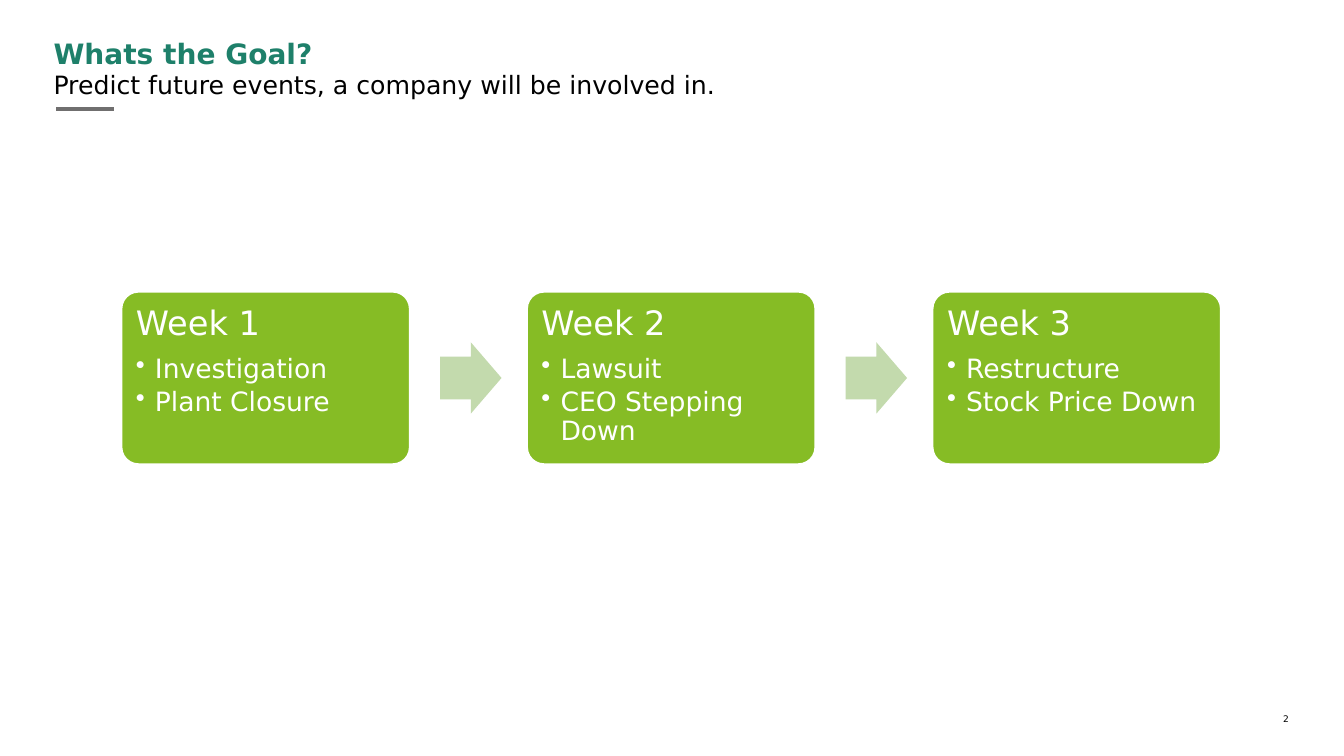
from lxml.etree import SubElement
from pptx import Presentation
from pptx.dml.color import RGBColor
from pptx.enum.shapes import MSO_CONNECTOR, MSO_SHAPE
from pptx.enum.text import MSO_ANCHOR, PP_ALIGN
from pptx.oxml.ns import qn
from pptx.util import Cm, Pt


def color(text):
    return RGBColor.from_string(text)


class Deck:
    font = "DejaVu Sans"
    green, pale, teal = "86BC25", "C3DAAD", "1E806A"
    gray, black, white = "706F6F", "000000", "FFFFFF"

    def __init__(self, show):
        self.slide = show.slides.add_slide(show.slide_layouts[6])
        self.shapes = self.slide.shapes

    def frame(self, shape, inset=0):
        """Set wrapping, top anchor and equal insets; return the text frame."""
        frame = shape.text_frame
        frame.word_wrap = True
        frame.vertical_anchor = MSO_ANCHOR.TOP
        frame.margin_left = frame.margin_right = Cm(inset)
        frame.margin_top = frame.margin_bottom = Cm(inset)
        return frame

    def add_text(self, para, text, size, tint, bold=False, align=PP_ALIGN.LEFT):
        para.alignment = align
        run = para.add_run()
        run.text = text
        run.font.name = self.font
        run.font.size = Pt(size)
        run.font.bold = bold
        run.font.color.rgb = color(tint)

    def bullet(self, para):
        props = para._p.get_or_add_pPr()
        props.set("marL", str(Cm(0.48)))
        props.set("indent", str(Cm(-0.48)))
        SubElement(props, qn("a:buChar")).set("char", "•")

    def box(self, x, y, w, h):
        return self.frame(self.shapes.add_textbox(Cm(x), Cm(y), Cm(w), Cm(h)))

    def shape(self, kind, x, y, w, h, fill, *adjust):
        shape = self.shapes.add_shape(kind, Cm(x), Cm(y), Cm(w), Cm(h))
        shape.shadow.inherit = False
        shape.fill.solid()
        shape.fill.fore_color.rgb = color(fill)
        shape.line.fill.background()
        for i, value in enumerate(adjust):
            shape.adjustments[i] = value
        return shape

    def head(self, title, claim):
        frame = self.box(1.35, 0.91, 31.09, 1.93)
        self.add_text(frame.paragraphs[0], title, 20, self.teal, bold=True)
        self.add_text(frame.add_paragraph(), claim, 18, self.black)

    def rule(self, x, y, w):
        line = self.shapes.add_connector(
            MSO_CONNECTOR.STRAIGHT, Cm(x), Cm(y), Cm(x + w), Cm(y))
        line.line.color.rgb = color(self.gray)
        line.line.width = Pt(3)
        SubElement(line._element.spPr, qn("a:effectLst"))

    def card(self, x, y, w, h, title, events):
        card = self.shape(MSO_SHAPE.ROUNDED_RECTANGLE, x, y, w, h, self.green, 0.1)
        card.line.color.rgb = color(self.white)
        card.line.width = Pt(2)
        frame = self.frame(card, 0.25)
        para = frame.paragraphs[0]
        para.line_spacing = 0.9
        para.space_after = Pt(9.5)
        self.add_text(para, title, 24, self.white)
        for event in events:
            para = frame.add_paragraph()
            para.line_spacing = 0.9
            para.space_after = Pt(3)
            self.bullet(para)
            self.add_text(para, event, 19, self.white)

    def arrow(self, x, y, w, h):
        self.shape(MSO_SHAPE.RIGHT_ARROW, x, y, w, h, self.pale, 0.6, 0.5)

    def number(self, text):
        frame = self.box(31.62, 17.98, 0.86, 0.28)
        self.add_text(frame.paragraphs[0], text, 6.5, self.black, align=PP_ALIGN.RIGHT)


def main():
    show = Presentation()
    show.slide_width, show.slide_height = Cm(33.87), Cm(19.05)
    deck = Deck(show)
    deck.number("2")
    deck.head("Whats the Goal?",
              "Predict future events, a company will be involved in.")
    deck.rule(1.42, 2.74, 1.45)

    weeks = [
        ("Week 1", ["Investigation", "Plant Closure"]),
        ("Week 2", ["Lawsuit", "CEO Stepping Down"]),
        ("Week 3", ["Restructure", "Stock Price Down"]),
    ]
    left, top, wide, high, pitch = 3.05, 7.34, 7.29, 4.37, 10.22
    for i, (title, events) in enumerate(weeks):
        x = left + i * pitch
        if i:
            deck.arrow(x - 2.18, top + (high - 1.8) / 2, 1.55, 1.8)
        deck.card(x, top, wide, high, title, events)
    show.save("out.pptx")


if __name__ == "__main__":
    main()
